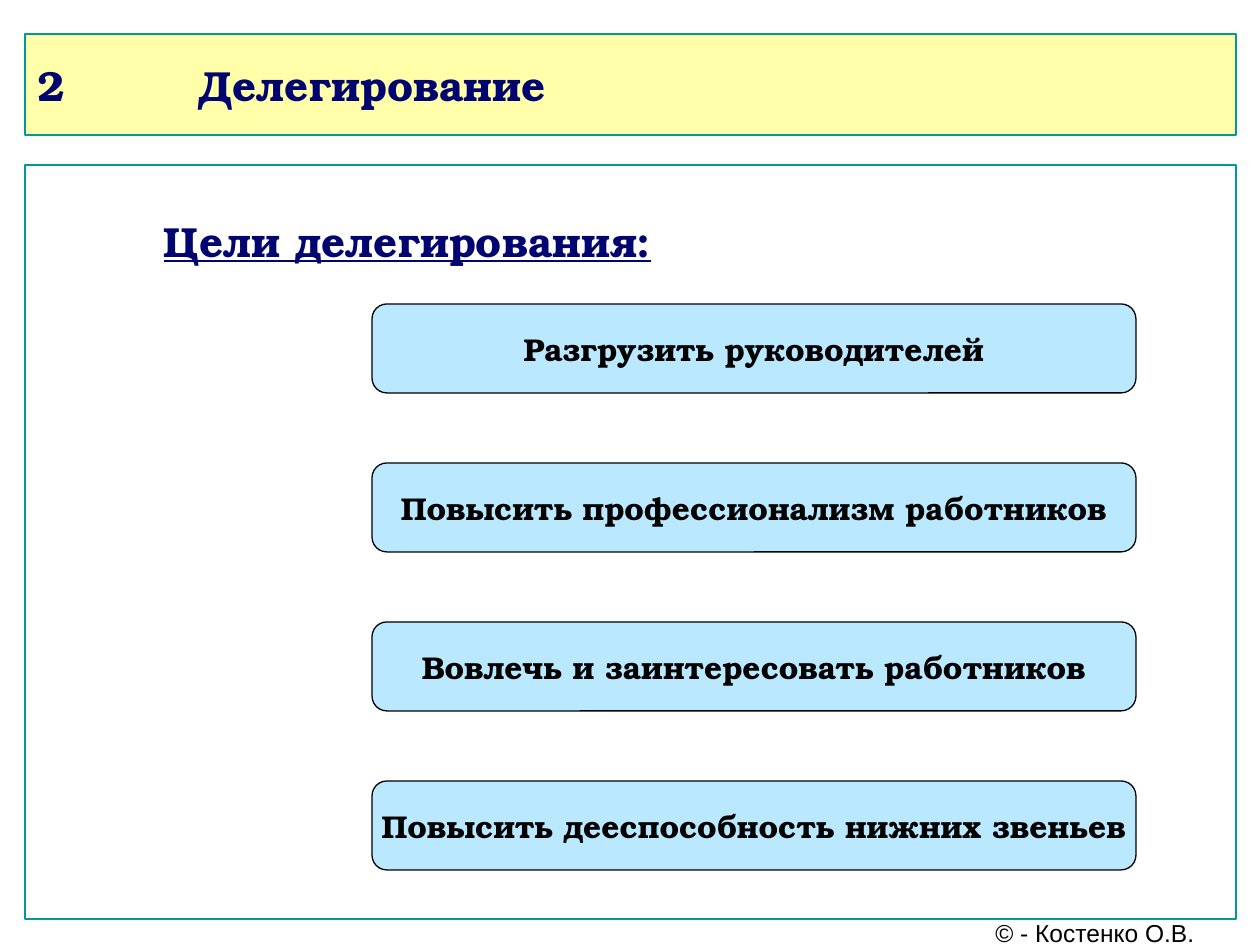
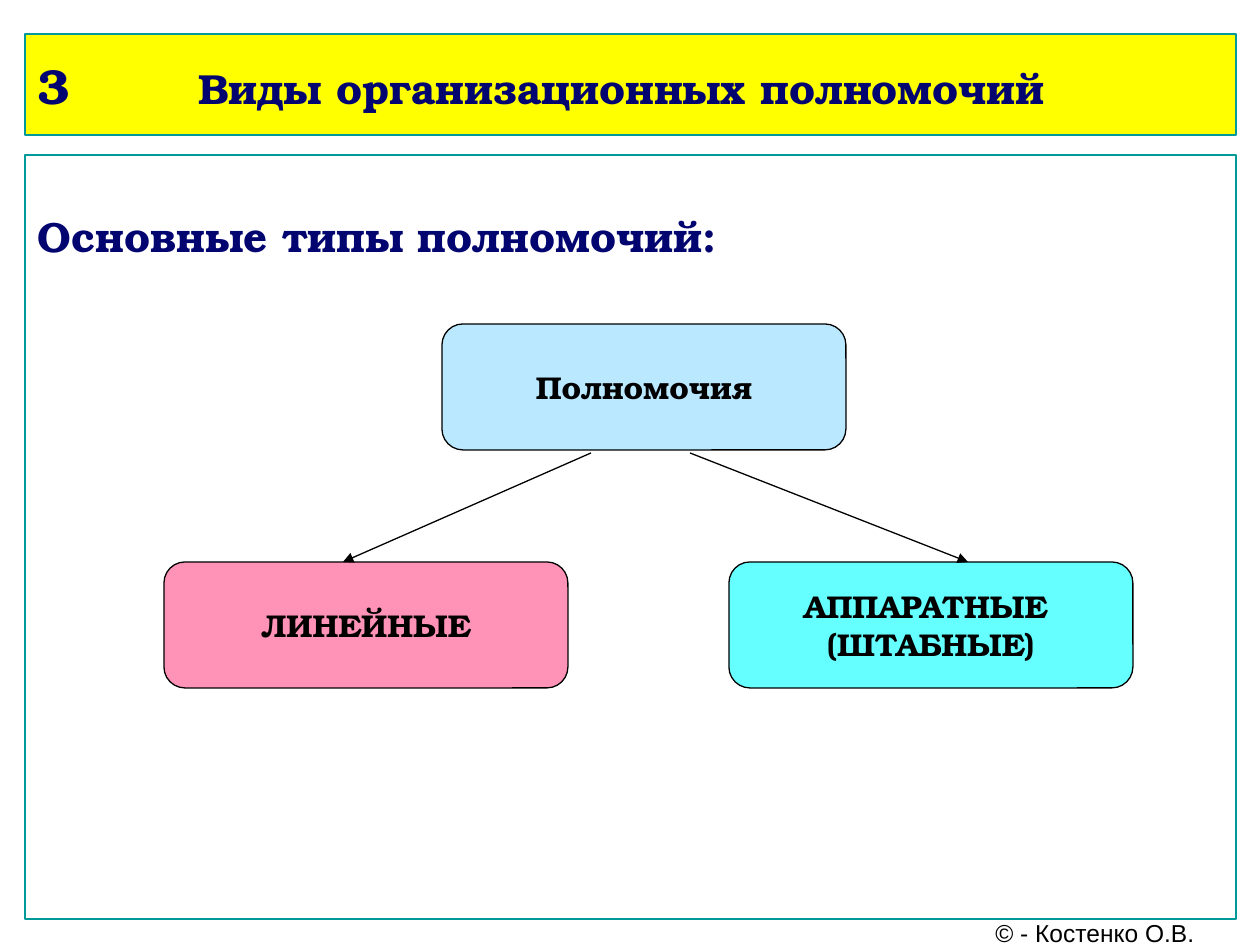
import pptx
import pptx.util
import pptx.dml.color
import pptx.enum.shapes
import pptx.enum.text
import pptx.oxml
import pptx.oxml.ns

SCALE = 914400 // 126
SERIF = "TeX Gyre Bonum"
SANS = "Arial"
HUES = {
    "navy": "020570",
    "teal": "009999",
    "cream": "FFFFA9",
    "yellow": "FFFF00",
    "white": "FFFFFF",
    "black": "000000",
    "sky": "B9E8FF",
    "pink": "FF93B7",
    "aqua": "66FFFF",
}
KINDS = pptx.enum.shapes.MSO_SHAPE
ALIGN = pptx.enum.text.PP_ALIGN
ANCHOR = pptx.enum.text.MSO_ANCHOR


def px(size):
    return pptx.util.Emu(size * SCALE)


def hue(name):
    return pptx.dml.color.RGBColor.from_string(HUES[name])


def place(shape, box):
    shape.left, shape.top, shape.width, shape.height = map(px, box)


def paint(shape, fill, edge):
    shape.fill.solid()
    shape.fill.fore_color.rgb = hue(fill)
    shape.line.color.rgb = hue(edge)
    shape.line.width = pptx.util.Pt(0.75)


def block(slide, kind, box, fill, edge):
    shape = slide.shapes.add_shape(kind, *map(px, box))
    shape.shadow.inherit = False
    paint(shape, fill, edge)
    return shape


def write(para, text, size, color="black", face=SERIF, bold=True, under=None):
    run = para.add_run()
    run.text = text
    font = run.font
    font.size = pptx.util.Pt(size)
    font.name = face
    font.bold = bold
    font.underline = under
    font.color.rgb = hue(color)


def band(slide, box, fill, number, size, text):
    title = slide.shapes.title
    place(title, box)
    paint(title, fill, "teal")
    frame = title.text_frame
    frame.auto_size = pptx.enum.text.MSO_AUTO_SIZE.NONE
    frame.vertical_anchor = ANCHOR.MIDDLE
    para = frame.paragraphs[0]
    para.alignment = ALIGN.LEFT
    props = para._p.get_or_add_pPr()
    props.set("marL", str(px(98)))
    props.set("indent", str(px(-98)))
    tabs = pptx.oxml.parse_xml(f"<a:tabLst {pptx.oxml.ns.nsdecls('a')}/>")
    for step in range(8):
        tab = tabs.makeelement(pptx.oxml.ns.qn("a:tab"), {"pos": str(px(126 * step)), "algn": "l"})
        tabs.append(tab)
    props.append(tabs)
    write(para, f"{number}\t\t", size, "navy")
    write(para, text, 24, "navy")


def panel(slide, box, text, left, top, under=None):
    shape = block(slide, KINDS.RECTANGLE, box, "white", "teal")
    frame = shape.text_frame
    frame.word_wrap = True
    frame.vertical_anchor = ANCHOR.TOP
    frame.margin_left = px(left)
    frame.margin_top = px(top)
    para = frame.paragraphs[0]
    para.alignment = ALIGN.LEFT
    write(para, text, 24, "navy", under=under)


def center(shape, lines, size, **style):
    frame = shape.text_frame
    frame.word_wrap = False
    frame.vertical_anchor = ANCHOR.MIDDLE
    for index, line in enumerate(lines):
        para = frame.add_paragraph() if index else frame.paragraphs[0]
        para.alignment = ALIGN.CENTER
        write(para, line, size, **style)


def card(slide, box, fill, *lines):
    shape = block(slide, KINDS.ROUNDED_RECTANGLE, box, fill, "black")
    center(shape, lines, 18)


def foot(slide, box):
    shape = slide.shapes.add_textbox(*map(px, box))
    center(shape, ["© - Костенко О.В."], 14, face=SANS, bold=False)


def arrow(slide, start, end):
    link = slide.shapes.add_connector(
        pptx.enum.shapes.MSO_CONNECTOR.STRAIGHT, *map(px, start + end))
    link.line.color.rgb = hue("black")
    link.line.width = pptx.util.Pt(0.75)
    line = link.line._get_or_add_ln()
    line.append(line.makeelement(pptx.oxml.ns.qn("a:tailEnd"), {"type": "triangle"}))
    props = link._element.spPr
    props.append(props.makeelement(pptx.oxml.ns.qn("a:effectLst"), {}))


def goals(slide, box, names):
    left, top, width, height = box
    tall = 89
    step = (height - tall) // (len(names) - 1)
    for index, name in enumerate(names):
        card(slide, (left, top + index * step, width, tall), "sky", name)


def tree(slide, box):
    left, top, width, height = box
    wide, tall = 404, 126
    low = top + height - tall
    card(slide, (left + 278, top, wide, tall), "sky", "Полномочия")
    card(slide, (left, low, wide, tall), "pink", "ЛИНЕЙНЫЕ")
    card(slide, (left + width - wide, low, wide, tall), "aqua", "АППАРАТНЫЕ ", "(ШТАБНЫЕ)")
    for start, end in ((427, 179), (526, 804)):
        arrow(slide, (left + start, top + tall + 3), (left + end, low))


def sheet(deck, fill, number, size, text):
    slide = deck.slides.add_slide(deck.slide_layouts[5])
    band(slide, (25, 34, 1211, 101), fill, number, size, text)
    foot(slide, (968, 919, 254, 27))
    return slide


def main():
    deck = pptx.Presentation()
    deck.slide_width, deck.slide_height = px(1260), px(945)

    slide = sheet(deck, "cream", 2, 24, "Делегирование")
    panel(slide, (25, 165, 1211, 754), "Цели делегирования:", 139, 50, True)
    goals(slide, (372, 304, 764, 566), [
        "Разгрузить руководителей",
        "Повысить профессионализм работников",
        "Вовлечь и заинтересовать работников",
        "Повысить дееспособность нижних звеньев",
    ])

    slide = sheet(deck, "yellow", 3, 28, "Виды организационных полномочий")
    panel(slide, (25, 155, 1211, 764), "Основные типы полномочий:", 13, 55)
    tree(slide, (164, 324, 969, 364))

    deck.save("out.pptx")


if __name__ == "__main__":
    main()
